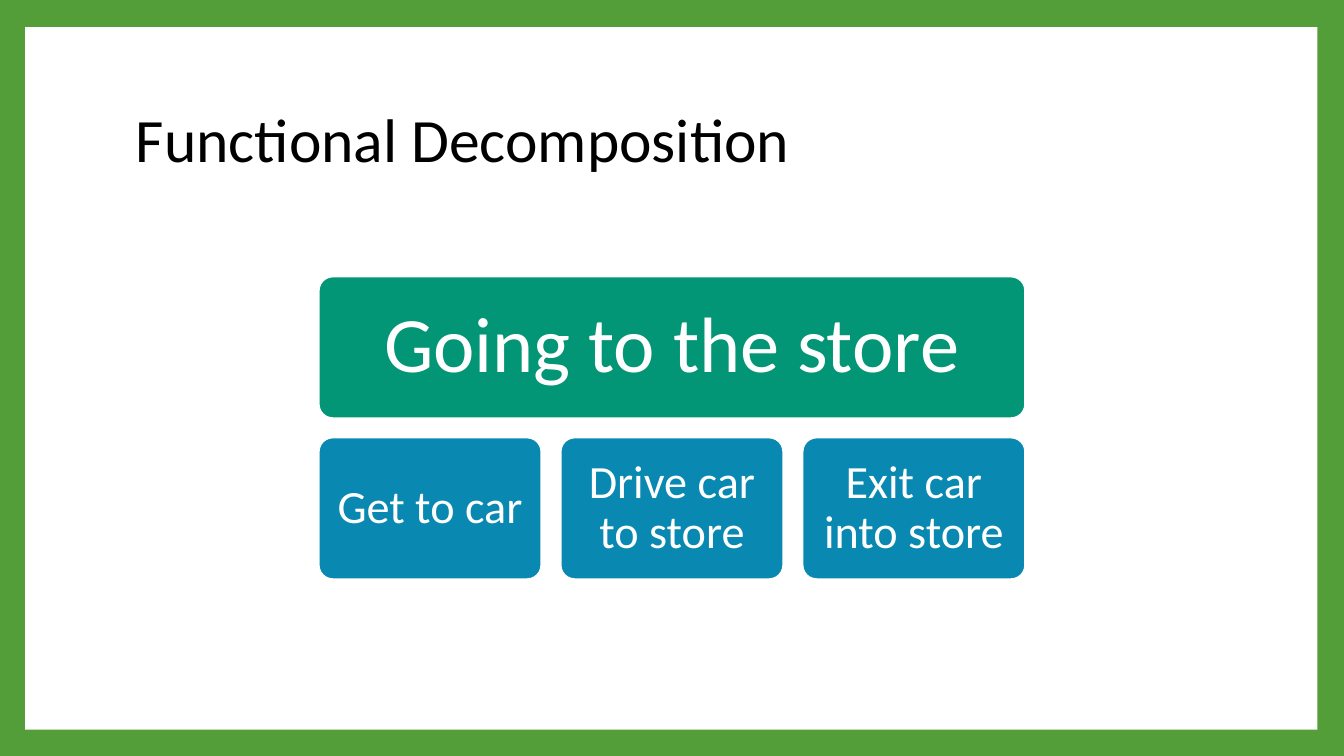
from pptx import Presentation
from pptx.dml.color import RGBColor
from pptx.enum.shapes import MSO_SHAPE as Shape
from pptx.enum.text import MSO_ANCHOR as Anchor, PP_ALIGN as Align
from pptx.util import Pt


def color(value):
    return RGBColor.from_string(value)


class SlideBuilder:
    """Hold the shared style and draw elements on the current slide."""

    font = "Calibri"
    white = "FFFFFF"
    black = "000000"
    green = "549E39"
    teal = "029676"
    blue = "0989B1"

    def __init__(self, slide):
        self.slide = slide

    def background(self):
        fill = self.slide.background.fill
        fill.solid()
        fill.fore_color.rgb = color(self.green)

    def block(self, kind, left, top, width, height, fill):
        shape = self.slide.shapes.add_shape(
            kind, Pt(left), Pt(top), Pt(width), Pt(height))
        shape.shadow.inherit = False
        shape.fill.solid()
        shape.fill.fore_color.rgb = color(fill)
        shape.line.fill.background()
        return shape

    def label(self, shape, text, size, ink, align):
        frame = shape.text_frame
        frame.word_wrap = True
        frame.vertical_anchor = Anchor.MIDDLE
        paragraph = frame.paragraphs[0]
        paragraph.text = text
        paragraph.alignment = align
        paragraph.line_spacing = 0.9
        paragraph.font.name = self.font
        paragraph.font.size = Pt(size)
        paragraph.font.color.rgb = color(ink)

    def title(self, text, left, top, width, height):
        box = self.slide.shapes.add_textbox(
            Pt(left), Pt(top), Pt(width), Pt(height))
        self.label(box, text, 44, self.black, Align.LEFT)

    def task(self, text, left, top, width, height, fill, size, margin):
        shape = self.block(
            Shape.ROUNDED_RECTANGLE, left, top, width, height, fill)
        shape.adjustments[0] = 0.1
        shape.line.color.rgb = color(self.white)
        shape.line.width = Pt(1.5)
        frame = shape.text_frame
        frame.margin_left = frame.margin_right = Pt(margin)
        frame.margin_top = frame.margin_bottom = Pt(margin)
        self.label(shape, text, size, self.white, Align.CENTER)


def main():
    presentation = Presentation()
    presentation.slide_width = Pt(960)
    presentation.slide_height = Pt(540)
    builder = SlideBuilder(
        presentation.slides.add_slide(presentation.slide_layouts[6]))

    builder.background()
    builder.block(Shape.RECTANGLE, 18, 19.4, 923, 501.9, builder.white)
    builder.title("Functional Decomposition", 90, 48.2, 777.6, 106.6)

    left, top, height = 227.6, 197.4, 101.4
    step_width, gap = 159.2, 13.6
    steps = ["Get to car", "Drive car to store", "Exit car into store"]
    goal_width = len(steps) * step_width + (len(steps) - 1) * gap
    builder.task("Going to the store", left, top, goal_width, height,
                 builder.teal, 56, 16)
    for index, step in enumerate(steps):
        builder.task(step, left + index * (step_width + gap),
                     top + height + gap, step_width, height,
                     builder.blue, 33, 9.5)

    presentation.save("out.pptx")


if __name__ == "__main__":
    main()
